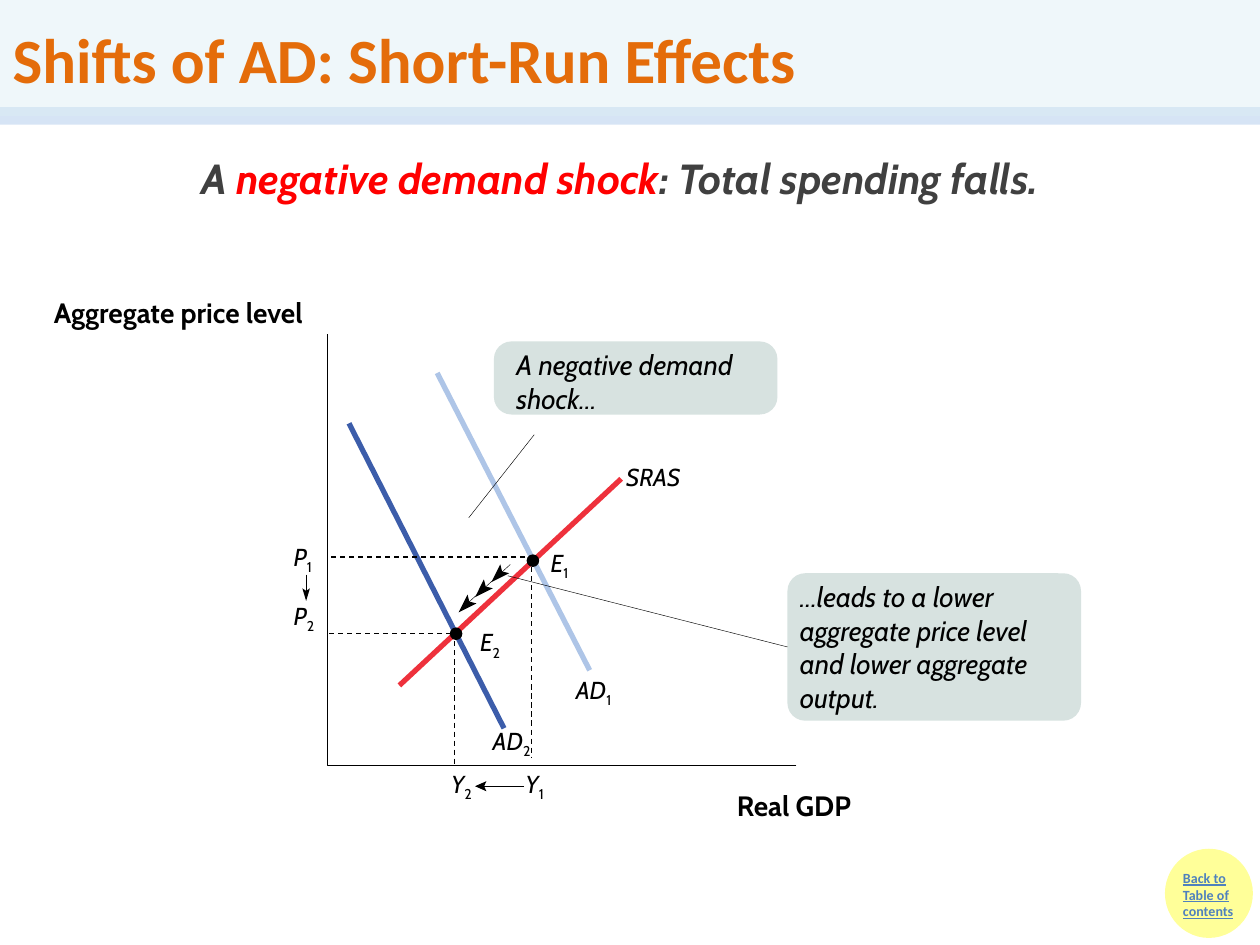
from dataclasses import dataclass
from math import hypot

from lxml import etree
from pptx import Presentation
from pptx.dml.color import RGBColor
from pptx.enum.dml import MSO_LINE
from pptx.enum.shapes import MSO_CONNECTOR, MSO_SHAPE
from pptx.enum.text import MSO_ANCHOR, MSO_AUTO_SIZE, PP_ALIGN
from pptx.oxml.ns import qn
from pptx.util import Inches, Pt

STRAIGHT = MSO_CONNECTOR.STRAIGHT
OVAL = MSO_SHAPE.OVAL
ROUNDED = MSO_SHAPE.ROUNDED_RECTANGLE
DASH = MSO_LINE.DASH
HAIRLINE = 0.25

COLORS = {
    "band": "C6D9F1", "header": "DBEEF4", "title": "E46C0A", "button": "FFFF99",
    "link": "4F81BD", "callout": "D7E2E0", "black": "000000", "gray": "404040",
    "shock": "FF0000", "sras": "EE313C", "ad1": "AEC5E7", "ad2": "3C5DAA",
}


@dataclass
class Line:
    x1: float
    y1: float
    x2: float
    y2: float
    color: str = "black"
    width: float = HAIRLINE
    dashed: bool = False


@dataclass
class Label:
    text: str
    sub: str
    x: float
    y: float
    w: float = 0.21


@dataclass
class Head:
    x: float
    y: float
    dx: float
    dy: float
    length: float
    half: float


@dataclass
class Run:
    text: str
    size: float
    color: str = "black"
    font: str = "Cabin"
    bold: bool = False
    italic: bool = False
    underline: bool = False


CURVES = [
    Line(3.17, 5.44, 4.93, 3.8, "sras", 3),
    Line(4, 5.78, 2.77, 3.36, "ad2", 3),
    Line(4.68, 5.32, 3.47, 2.96, "ad1", 3),
]
GUIDES = [
    Line(3.58, 5.03, 2.58, 5.03, width=0.75, dashed=True),
    Line(3.61, 5.09, 3.61, 6.06, width=0.75, dashed=True),
    Line(4.17, 4.42, 2.61, 4.42, width=0.75, dashed=True),
    Line(4.22, 4.5, 4.22, 6.01, width=0.75, dashed=True),
]
POINTERS = [
    Line(2.43, 4.56, 2.43, 4.69),
    Line(4.24, 3.45, 3.72, 4.11),
    Line(4.16, 6.24, 3.83, 6.24),
    Line(4.05, 4.48, 3.72, 4.78),
]
HEADS = [Head(2.43, 4.77, 0, 1, 0.1, 0.03), Head(3.77, 6.24, -1, 0, 0.09, 0.04)] + [
    Head(3.9 - 0.13 * i, 4.62 + 0.12 * i, -1, 1, 0.15, 0.05) for i in range(3)
]
LABELS = [
    Label("P", "1", 2.33, 4.3), Label("P", "2", 2.33, 4.77),
    Label("Y", "1", 4.17, 6.1), Label("Y", "2", 3.58, 6.1),
    Label("E", "1", 4.37, 4.35), Label("E", "2", 3.81, 4.98),
    Label("AD", "1", 4.57, 5.36, 0.35), Label("AD", "2", 3.91, 5.76, 0.35),
    Label("SRAS", "", 4.97, 3.67, 0.54),
]
EQUILIBRIA = [(4.18, 4.4), (3.57, 4.98)]


def rgb(name: str) -> RGBColor:
    return RGBColor.from_string(COLORS[name])


def set_alpha(fill_parent, percent: int) -> None:
    clr = fill_parent.find(".//" + qn("a:srgbClr"))
    etree.SubElement(clr, qn("a:alpha")).set("val", str(percent * 1000))


def add_line(s, ln: Line):
    c = s.shapes.add_connector(STRAIGHT, *map(Inches, (ln.x1, ln.y1, ln.x2, ln.y2)))
    c.line.color.rgb = rgb(ln.color)
    c.line.width = Pt(ln.width)
    if ln.dashed:
        c.line.dash_style = DASH
    etree.SubElement(c._element.spPr, qn("a:effectLst"))
    return c


def fill_plain(sp, color: str) -> None:
    sp.shadow.inherit = False
    sp.fill.solid()
    sp.fill.fore_color.rgb = rgb(color)
    sp.line.fill.background()


def add_filled(s, kind, x: float, y: float, w: float, h: float, color: str):
    sp = s.shapes.add_shape(kind, *map(Inches, (x, y, w, h)))
    fill_plain(sp, color)
    return sp


def add_outline(s, points: list[tuple[float, float]], close: bool):
    start, *rest = [(Inches(x), Inches(y)) for x, y in points]
    fb = s.shapes.build_freeform(*start)
    fb.add_line_segments(rest, close=close)
    return fb.convert_to_shape()


def add_head(s, hd: Head) -> None:
    n = hypot(hd.dx, hd.dy)
    ux, uy = hd.dx / n, hd.dy / n

    def point(back: float, side: float) -> tuple[float, float]:
        return hd.x - ux * back - uy * side, hd.y - uy * back + ux * side

    fill_plain(add_outline(s, [(hd.x, hd.y), point(hd.length, hd.half),
                               point(hd.length * 0.8, 0), point(hd.length, -hd.half)],
                           close=True), "black")


def add_runs(p, runs: list[Run]) -> None:
    for run in runs:
        r = p.add_run()
        r.text = run.text
        f = r.font
        f.name, f.size, f.color.rgb = run.font, Pt(run.size), rgb(run.color)
        f.bold, f.italic, f.underline = run.bold, run.italic, run.underline


def add_text(s, x: float, y: float, w: float, h: float, *runs: Run):
    tf = s.shapes.add_textbox(*map(Inches, (x, y, w, h))).text_frame
    tf.word_wrap = True
    add_runs(tf.paragraphs[0], list(runs))
    return tf


def add_label(s, lb: Label) -> None:
    runs = [Run(lb.text, 14, italic=True)] + ([Run(lb.sub, 14)] if lb.sub else [])
    tf = add_text(s, lb.x, lb.y, lb.w, 0.24, *runs)
    tf.word_wrap = False
    tf.margin_left = tf.margin_right = tf.margin_top = tf.margin_bottom = 0
    for r in tf.paragraphs[0].runs[1:]:
        r.font._element.set("baseline", "-25000")


def main() -> None:
    prs = Presentation()
    prs.slide_width, prs.slide_height = Inches(10), Inches(7.5)
    s = prs.slides.add_slide(prs.slide_layouts[5])

    # Header band and title
    band = add_line(s, Line(0, 0.92, 10, 0.92, "band", 10))
    set_alpha(band.line._ln, 71)
    title = s.shapes.title
    s.shapes._spTree.append(title._element)
    title.left, title.top, title.width, title.height = map(Inches, (0, 0, 10, 0.92))
    title.fill.solid()
    title.fill.fore_color.rgb = rgb("header")
    set_alpha(title._element.spPr, 44)
    tf = title.text_frame
    tf.auto_size, tf.vertical_anchor = MSO_AUTO_SIZE.NONE, MSO_ANCHOR.MIDDLE
    tf.paragraphs[0].alignment = PP_ALIGN.LEFT
    add_runs(tf.paragraphs[0], [Run("Shifts of AD: Short-Run Effects", 36, "title", "Calibri", True)])

    # Contents button
    button = add_filled(s, OVAL, 9.26, 6.75, 0.67, 0.68, "button")
    button.line.color.rgb = rgb("button")
    button.line.width = Pt(2)
    add_text(s, 9.29, 6.85, 0.72, 0.67,
             Run("Back to Table of contents", 8, "link", "Calibri", True, underline=True))

    # Headline
    add_text(s, 1.5, 1.16, 7.78, 0.5, *(
        Run(text, 24, color, bold=True, italic=True) for text, color in (
            ("A ", "gray"), ("negative demand shock", "shock"), (": Total spending falls.", "gray"))))

    # Axes and their names
    axes = add_outline(s, [(6.32, 6.07), (2.6, 6.07), (2.6, 2.65)], close=False)
    axes.shadow.inherit = False
    axes.fill.background()
    axes.line.color.rgb = rgb("black")
    axes.line.width = Pt(HAIRLINE)
    add_text(s, 0.33, 2.3, 2.58, 0.37, Run("Aggregate price level", 16, bold=True))
    add_text(s, 5.75, 6.21, 1.58, 0.37, Run("Real GDP", 16, bold=True))

    # Callouts
    shock = add_filled(s, ROUNDED, 3.92, 2.71, 2.25, 0.58, "callout")
    shock.adjustments[0] = 0.24
    add_text(s, 4, 2.71, 2.08, 0.64, Run("A negative demand shock...", 16, italic=True))
    effect = add_filled(s, ROUNDED, 6.25, 4.55, 2.33, 1.17, "callout")
    effect.adjustments[0] = 0.12
    add_text(s, 6.25, 4.55, 2.33, 1.17, Run(
        "...leads to a lower aggregate price level and lower aggregate output.", 16, italic=True))

    # Curves, guides, arrows and equilibrium points
    for ln in CURVES + GUIDES + POINTERS:
        add_line(s, ln)
    add_line(s, Line(6.25, 5.13, 4.03, 4.57)).begin_connect(effect, 1)
    for hd in HEADS:
        add_head(s, hd)
    for x, y in EQUILIBRIA:
        add_filled(s, OVAL, x, y, 0.1, 0.1, "black")
    for lb in LABELS:
        add_label(s, lb)

    prs.save("out.pptx")


if __name__ == "__main__":
    main()
